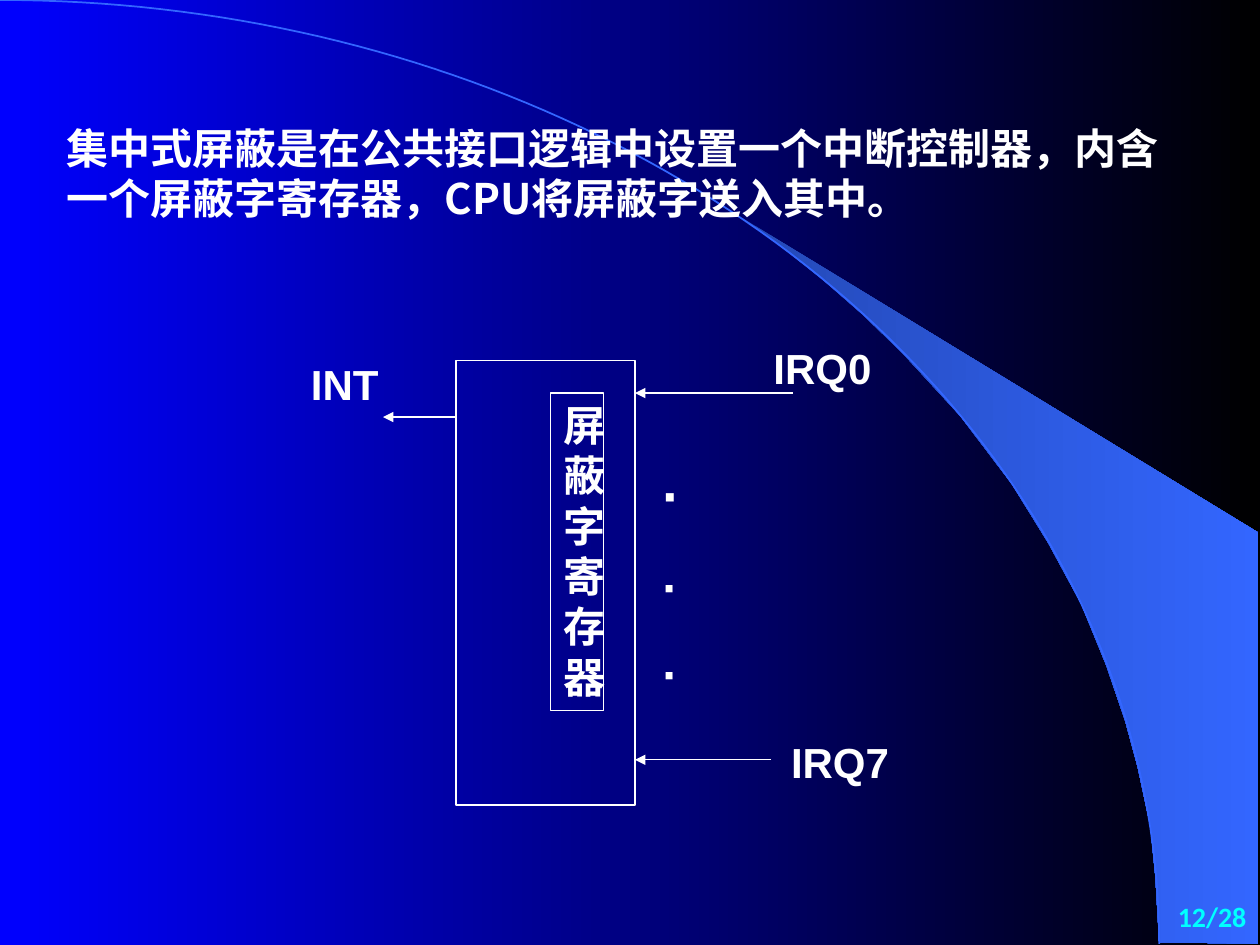
"""Build the slide on centralised interrupt masking with a mask register diagram."""
import math
import pptx
import pptx.util
import pptx.dml.color
import pptx.enum.shapes
import pptx.enum.text
import pptx.oxml
import pptx.oxml.ns

WHITE = pptx.dml.color.RGBColor(0xFF, 0xFF, 0xFF)
BLACK = pptx.dml.color.RGBColor(0x00, 0x00, 0x00)
BLUE = pptx.dml.color.RGBColor(0x00, 0x00, 0xFF)
DEEP_BLUE = pptx.dml.color.RGBColor(0x24, 0x49, 0xB6)
BRIGHT_BLUE = pptx.dml.color.RGBColor(0x33, 0x66, 0xFF)
CYAN = pptx.dml.color.RGBColor(0x00, 0xFF, 0xFF)
CJK_FONT = "Noto Sans CJK SC"
ARROW = '<a:tailEnd xmlns:a="http://schemas.openxmlformats.org/drawingml/2006/main" type="triangle"/>'
NO_EFFECT = '<a:effectLst xmlns:a="http://schemas.openxmlformats.org/drawingml/2006/main"/>'

presentation = pptx.Presentation()
presentation.slide_width = pptx.util.Inches(10)
presentation.slide_height = pptx.util.Inches(7.5)
column = presentation.slide_width / 100
row = presentation.slide_height / 75
slide = presentation.slides.add_slide(presentation.slide_layouts[6])
shapes = slide.shapes


def grid(*lengths):
    """Turn alternating column and row counts into slide lengths."""
    return [round(length * (row if index % 2 else column)) for index, length in enumerate(lengths)]


def write(shape, text, sizes, font_name="Arial", color=WHITE, align=pptx.enum.text.PP_ALIGN.LEFT):
    """Fill a shape with bold paragraphs, one size for each."""
    frame = shape.text_frame
    frame.text = text
    frame.word_wrap = True
    frame.vertical_anchor = pptx.enum.text.MSO_ANCHOR.TOP
    for index, (paragraph, size) in enumerate(zip(frame.paragraphs, sizes)):
        paragraph.alignment = align
        if index:
            paragraph.space_before = pptx.util.Pt(16)
        for run in paragraph.runs:
            run.font.name = font_name
            run.font.size = pptx.util.Pt(size)
            run.font.bold = True
            run.font.color.rgb = color
            east_asian = pptx.oxml.parse_xml(NO_EFFECT.replace("effectLst", "ea"))
            east_asian.set("typeface", CJK_FONT)
            run.font._element.find(pptx.oxml.ns.qn("a:latin")).addnext(east_asian)


swoosh_points = [
    (92, 74.8), (99.9, 74.9), (99.9, 42.3), (58.9, 17.3), (62.4, 19.9), (65.3, 22.2),
    (68.5, 25), (71.6, 28), (76.2, 33), (80.3, 38.4), (83.2, 43.1), (85.8, 47.9),
    (87.8, 52.8), (89.3, 57.2), (90.3, 60.9), (91.3, 65.6), (91.7, 69.6),
]
builder = shapes.build_freeform(*grid(*swoosh_points[0]))
builder.add_line_segments([grid(*point) for point in swoosh_points[1:]], close=True)
swoosh = builder.convert_to_shape()
swoosh.shadow.inherit = False
swoosh.line.fill.background()

for fill, colors in ((slide.background.fill, (BLUE, BLACK)), (swoosh.fill, (DEEP_BLUE, BRIGHT_BLUE))):
    fill.gradient()
    fill.gradient_angle = 0
    for stop, color in zip(fill.gradient_stops, colors):
        stop.color.rgb = color

angles = [math.radians(degree) for degree in range(91)]
arc_points = [grid(92 * math.sin(angle), 74.9 * (1 - math.cos(angle))) for angle in angles]
builder = shapes.build_freeform(*arc_points[0])
builder.add_line_segments(arc_points[1:], close=False)
arc = builder.convert_to_shape()
arc.shadow.inherit = False
arc.fill.background()
arc.line.color.rgb = BRIGHT_BLUE
arc.line.width = pptx.util.Pt(1)

page_number = shapes.add_textbox(*grid(89.4, 70.9, 10.5, 3.9))
write(page_number, "12/28", [16], "Calibri", CYAN, pptx.enum.text.PP_ALIGN.RIGHT)

statement = shapes.add_textbox(*grid(4.3, 9.2, 89.2, 9.1))
write(statement, "集中式屏蔽是在公共接口逻辑中设置一个中断控制器，内含一个屏蔽字寄存器，CPU将屏蔽字送入其中。",
      [24], CJK_FONT)

for box, text in (((36.2, 28.6, 14.2, 35.3), ""), ((43.7, 31.2, 4.2, 25.2), "屏蔽字寄存器")):
    rectangle = shapes.add_shape(pptx.enum.shapes.MSO_SHAPE.RECTANGLE, *grid(*box))
    rectangle.shadow.inherit = False
    rectangle.fill.background()
    rectangle.line.color.rgb = WHITE
    rectangle.line.width = pptx.util.Pt(0.75)
    if text:
        write(rectangle, text, [24])

for ends in ((62.9, 31.2, 50.4, 31.2), (61.2, 60.3, 50.4, 60.3), (36.2, 33.1, 30.4, 33.1)):
    arrow = shapes.add_connector(pptx.enum.shapes.MSO_CONNECTOR.STRAIGHT, *grid(*ends))
    arrow.line.color.rgb = WHITE
    arrow.line.width = pptx.util.Pt(0.75)
    arrow.line._get_or_add_ln().append(pptx.oxml.parse_xml(ARROW))
    arrow._element.spPr.append(pptx.oxml.parse_xml(NO_EFFECT))

dots = shapes.add_textbox(*grid(51.6, 36.1, 5, 20.4))
write(dots, "·\n·\n·", [32, 28, 28])

for left, top, signal in ((60.4, 26.7, "IRQ0"), (61.8, 58, "IRQ7"), (23.7, 28, "INT")):
    write(shapes.add_textbox(*grid(left, top, 11.7, 5)), signal, [24])

presentation.save("out.pptx")
